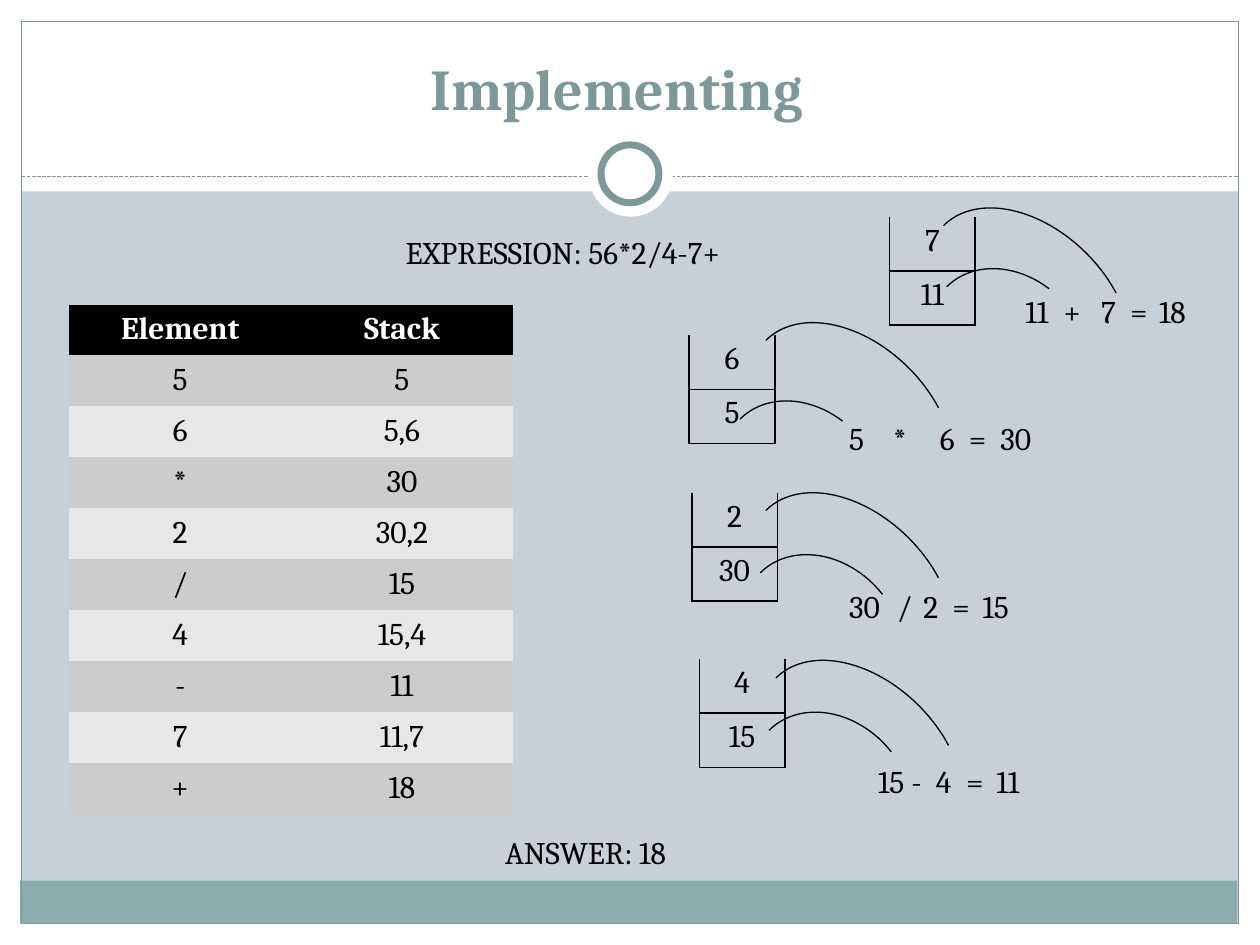
from dataclasses import dataclass
from typing import Optional

import pptx
import pptx.dml.color
import pptx.enum.dml
import pptx.enum.shapes
import pptx.enum.text
import pptx.oxml.ns
import pptx.util
from lxml import etree

Inches = pptx.util.Inches
Pt = pptx.util.Pt
RGBColor = pptx.dml.color.RGBColor
Kind = pptx.enum.shapes.MSO_SHAPE
Align = pptx.enum.text.PP_ALIGN
Anchor = pptx.enum.text.MSO_ANCHOR
qn = pptx.oxml.ns.qn

FONT = "Cambria"
BLACK = RGBColor(0x00, 0x00, 0x00)
WHITE = RGBColor(0xFF, 0xFF, 0xFF)
TEAL = RGBColor(0x7C, 0x99, 0x9A)
FOOT = RGBColor(0x8C, 0xAD, 0xAE)
BACK = RGBColor(0xC5, 0xD1, 0xD7)
DARK = RGBColor(0xCC, 0xCC, 0xCC)
LIGHT = RGBColor(0xE7, 0xE7, 0xE7)


@dataclass
class Box:
    left: float
    top: float
    width: float
    height: float

    def place(self) -> tuple:
        return tuple(Inches(v) for v in (self.left, self.top, self.width, self.height))


@dataclass
class Part:
    kind: int
    box: Box
    fill: Optional[RGBColor] = None
    line: Optional[RGBColor] = None
    weight: float = 0.75


@dataclass
class Sum:
    """A stack of two values, its two arcs and the sum they lead to."""
    stack: tuple[float, float]
    items: tuple[str, str]
    high: tuple[float, float]
    low: tuple[float, float]
    bend: float
    label: Box
    words: list[str]
    tabs: list[float]


PARTS = [
    Part(Kind.RECTANGLE, Box(0, 7.33, 10, 0.17), WHITE),
    Part(Kind.RECTANGLE, Box(0, 0, 10, 1.52), WHITE),
    Part(Kind.RECTANGLE, Box(0, 0, 0.17, 7.5), WHITE),
    Part(Kind.RECTANGLE, Box(9.83, 0, 0.17, 7.5), WHITE),
    Part(Kind.RECTANGLE, Box(0.16, 6.99, 9.66, 0.34), FOOT),
    Part(Kind.RECTANGLE, Box(0.17, 0.17, 9.66, 7.16), None, TEAL),
]
RING = [
    Part(Kind.OVAL, Box(4.67, 1.05, 0.67, 0.67), WHITE),
    Part(Kind.OVAL, Box(4.77, 1.15, 0.46, 0.46), WHITE, TEAL, 4),
]

STEPS = [
    ("5", "5"), ("6", "5,6"), ("*", "30"), ("2", "30,2"), ("/", "15"),
    ("4", "15,4"), ("-", "11"), ("7", "11,7"), ("+", "18"),
]

# Arc angles, in the units of the shape's adjustments
START, WIDE, LONG, SHORT = 162, 20.25, 6.51, 209.18

SUMS = [
    Sum((5.47, 2.66), ("6", "5"), (6.11, 2.42), (5.8, 3.12), SHORT,
        Box(6.64, 3.28, 1.85, 0.4), ["5", "*", "6", "=", "30"], [0.35, 0.72, 0.95, 1.2]),
    Sum((5.49, 3.91), ("2", "30"), (6.11, 3.77), (5.96, 4.34), LONG,
        Box(6.64, 4.61, 1.65, 0.4), ["30", "/", "2", "=", "15"], [0.38, 0.59, 0.82, 1.06]),
    Sum((5.55, 5.23), ("4", "15"), (6.19, 5.1), (6.03, 5.59), LONG,
        Box(6.87, 6, 1.49, 0.4), ["15 -", "4", "=", "11"], [0.46, 0.7, 0.94]),
    Sum((7.06, 1.72), ("7", "11"), (7.52, 1.51), (7.44, 2.07), SHORT,
        Box(8.04, 2.27, 1.68, 0.4), ["11", "+", "7", "=", "18"], [0.3, 0.6, 0.83, 1.06]),
]


def add_run(para, text: str, size: float = 18, color: RGBColor = BLACK, bold: bool = False) -> None:
    run = para.add_run()
    run.text = text
    run.font.name = FONT
    run.font.size = Pt(size)
    run.font.bold = bold
    run.font.color.rgb = color


def add_text(slide, box: Box):
    frame = slide.shapes.add_textbox(*box.place()).text_frame
    frame.word_wrap = True
    return frame


def add_part(slide, part: Part):
    shape = slide.shapes.add_shape(part.kind, *part.box.place())
    shape.shadow.inherit = False
    if part.fill is None:
        shape.fill.background()
    else:
        shape.fill.solid()
        shape.fill.fore_color.rgb = part.fill
    if part.line is None:
        shape.line.fill.background()
    else:
        shape.line.color.rgb = part.line
        shape.line.width = Pt(part.weight)
    return shape


def add_arc(slide, box: Box, end: float) -> None:
    arc = add_part(slide, Part(Kind.ARC, box, None, BLACK))
    arc.rotation = 314.9
    arc.adjustments[0] = START
    arc.adjustments[1] = end


def add_rule(slide) -> None:
    rule = slide.shapes.add_connector(
        pptx.enum.shapes.MSO_CONNECTOR.STRAIGHT,
        Inches(0.17), Inches(1.4), Inches(9.83), Inches(1.4))
    rule.line.color.rgb = TEAL
    rule.line.width = Pt(0.75)
    rule.line.dash_style = pptx.enum.dml.MSO_LINE.SQUARE_DOT
    etree.SubElement(rule._element.spPr, qn("a:effectLst"))


def set_edges(cell, shown: str) -> None:
    """Draw the sides named in shown (of L, R, T, B) and clear the rest."""
    props = cell._tc.get_or_add_tcPr()
    for side in "LRTB":
        edge = etree.SubElement(props, qn(f"a:ln{side}"), w=str(Pt(1)))
        if side in shown:
            fill = etree.SubElement(edge, qn("a:solidFill"))
            etree.SubElement(fill, qn("a:srgbClr"), val=str(BLACK))
        else:
            etree.SubElement(edge, qn("a:noFill"))


def set_cell(cell, text: str, fill: Optional[RGBColor], edges: str = "", head: bool = False) -> None:
    set_edges(cell, edges)
    if fill is None:
        cell.fill.background()
    else:
        cell.fill.solid()
        cell.fill.fore_color.rgb = fill
    para = cell.text_frame.paragraphs[0]
    para.alignment = Align.CENTER
    add_run(para, text, color=WHITE if head else BLACK, bold=head)


def add_grid(slide, rows: int, cols: int, box: Box):
    grid = slide.shapes.add_table(rows, cols, *box.place()).table
    grid.first_row = grid.horz_banding = False
    return grid


def add_steps(slide) -> None:
    grid = add_grid(slide, len(STEPS) + 1, 2, Box(0.55, 2.42, 3.52, 4.05))
    for i, texts in enumerate([("Element", "Stack"), *STEPS]):
        fill = BLACK if i == 0 else DARK if i % 2 else LIGHT
        for j, text in enumerate(texts):
            set_cell(grid.cell(i, j), text, fill, head=i == 0)
    grid.rows[0].height = Inches(0.39)


def add_sum(slide, item: Sum) -> None:
    grid = add_grid(slide, 2, 1, Box(*item.stack, 0.68, 0.86))
    for i, (text, edges) in enumerate(zip(item.items, ("LRB", "LRTB"))):
        set_cell(grid.cell(i, 0), text, None, edges)
    add_arc(slide, Box(*item.high, 1.29, 1.91), WIDE)
    add_arc(slide, Box(*item.low, 1.14, 1.4), item.bend)
    para = add_text(slide, item.label).paragraphs[0]
    stops = etree.SubElement(para._p.get_or_add_pPr(), qn("a:tabLst"))
    for tab in item.tabs:
        etree.SubElement(stops, qn("a:tab"), pos=str(Inches(tab)), algn="l")
    add_run(para, "\t".join(item.words))


def main() -> None:
    deck = pptx.Presentation()
    deck.slide_width, deck.slide_height = Inches(10), Inches(7.5)
    slide = deck.slides.add_slide(deck.slide_layouts[6])
    slide.background.fill.solid()
    slide.background.fill.fore_color.rgb = BACK

    # Frame, dashed rule and ring
    for part in PARTS:
        add_part(slide, part)
    add_rule(slide)
    for part in RING:
        add_part(slide, part)

    # Title
    frame = add_text(slide, Box(0.23, 0.16, 9.33, 0.86))
    frame.vertical_anchor = Anchor.BOTTOM
    frame.paragraphs[0].alignment = Align.CENTER
    add_run(frame.paragraphs[0], "Implementing", 33, TEAL, True)

    # Steps, sums and the lines above and below them
    add_steps(slide)
    for item in SUMS:
        add_sum(slide, item)
    for text, box in (("EXPRESSION: 56*2/4-7+", Box(3.12, 1.8, 3.12, 0.4)),
                      ("ANSWER: 18", Box(3.91, 6.56, 1.69, 0.4))):
        add_run(add_text(slide, box).paragraphs[0], text)

    deck.save("out.pptx")


if __name__ == "__main__":
    main()
